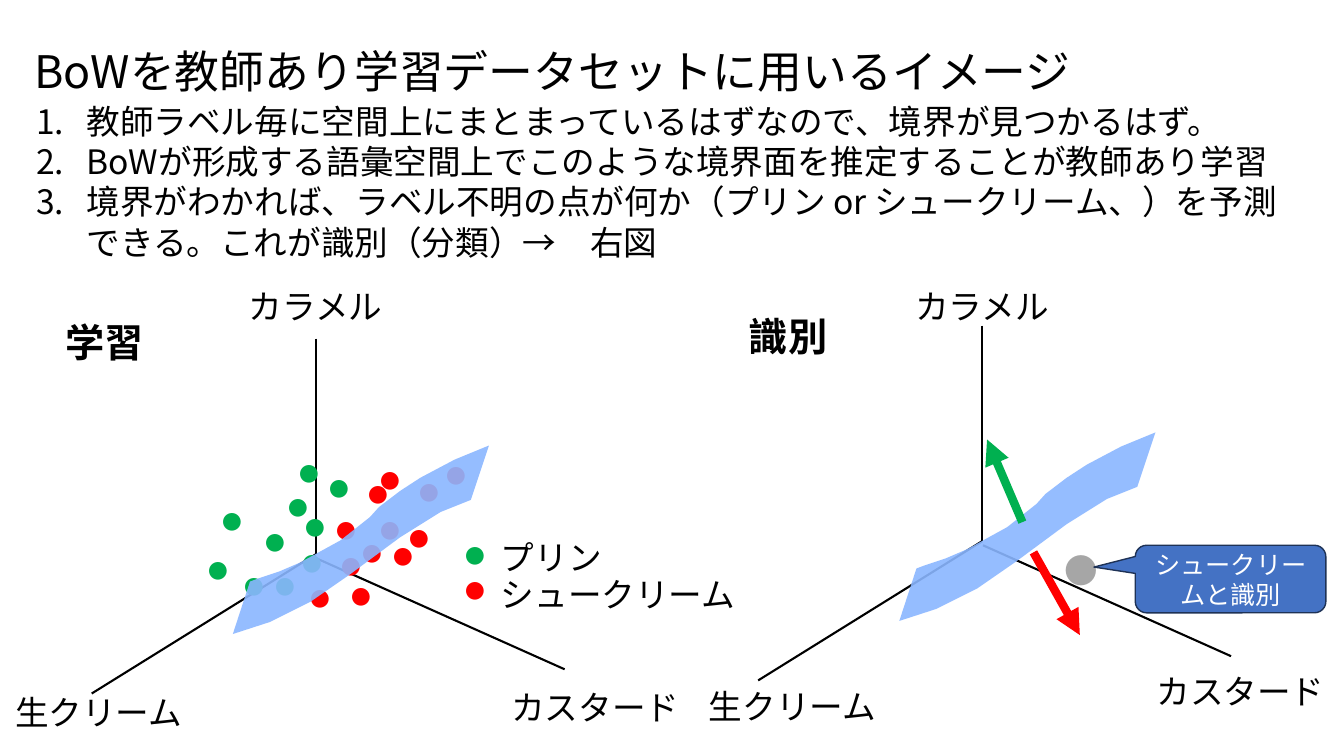
from pptx import Presentation
from pptx.util import Inches, Pt
from pptx.dml.color import RGBColor
from pptx.enum.shapes import MSO_CONNECTOR, MSO_SHAPE
from pptx.enum.text import MSO_ANCHOR, PP_ALIGN
from pptx.oxml.ns import qn
from lxml.etree import SubElement

BLACK = RGBColor(0x00, 0x00, 0x00)
WHITE = RGBColor(0xFF, 0xFF, 0xFF)
RED = RGBColor(0xFF, 0x00, 0x00)
GREEN = RGBColor(0x00, 0xB0, 0x50)
GRAY = RGBColor(0xA6, 0xA6, 0xA6)
BLUE = RGBColor(0x44, 0x72, 0xC4)
NAVY = RGBColor(0x1E, 0x32, 0x56)
LIGHT_BLUE = RGBColor(0x8A, 0xB6, 0xFF)
FONT = "Noto Sans CJK JP"

RULES = [
    "教師ラベル毎に空間上にまとまっているはずなので、境界が見つかるはず。",
    "BoWが形成する語彙空間上でこのような境界面を推定することが教師あり学習",
    "境界がわかれば、ラベル不明の点が何か（プリン or シュークリーム、）を予測できる。これが識別（分類）→\u3000右図",
]
PUDDING_DOTS = [
    (2.11, 5.02), (2.93, 5.08), (2.53, 5.22), (1.97, 5.5), (4.52, 5.35), (2.87, 4.54),
    (3.17, 4.69), (2.63, 5.66), (2.76, 4.88), (2.32, 5.66), (2.9, 5.43),
]
CREAM_PUFF_DOTS = [
    (3.67, 4.61), (4.33, 4.56), (3.49, 5.33), (3.39, 5.76), (3.8, 5.36), (4.52, 5.7),
    (4.06, 4.73), (3.29, 5.46), (3.96, 5.18), (3.55, 4.75), (2.98, 5.78), (3.24, 5.11),
    (3.67, 5.11),
]
BOUNDARY = [
    (-0.82, 0.79), (-0.65, 0.27), (-0.57, 0.24), (-0.36, 0.17), (-0.15, 0.08),
    (0.25, -0.14), (0.54, -0.37), (0.63, -0.47), (0.84, -0.63), (1.04, -0.76),
    (1.38, -0.94), (1.72, -1.08), (1.54, -0.54), (1.24, -0.42), (0.84, -0.17),
    (0.34, 0.2), (-0.05, 0.47), (-0.45, 0.67),
]


def set_font(font, size, color, bold=False, name=FONT):
    """Apply one format to Latin and East Asian characters."""
    font.size, font.bold, font.name = Pt(size), bold, name
    font.color.rgb = color
    SubElement(font._element, qn("a:ea")).set("typeface", FONT)


def add_text(slide, text, left, top, width, height, size=24, color=BLACK, bold=False,
             wrap=False, inset=True, rotation=0, numbered=False):
    """Add a text box with one paragraph per line of text."""
    box = slide.shapes.add_textbox(Inches(left), Inches(top), Inches(width), Inches(height))
    box.rotation = rotation
    frame = box.text_frame
    frame.word_wrap = wrap
    if not inset:
        frame.margin_left = frame.margin_right = frame.margin_top = frame.margin_bottom = 0
    frame.text = text
    for paragraph in frame.paragraphs:
        set_font(paragraph.runs[0].font, size, color, bold)
        if numbered:
            properties = paragraph._p.get_or_add_pPr()
            properties.set("marL", str(Inches(0.5)))
            properties.set("indent", str(-Inches(0.5)))
            SubElement(properties, qn("a:buFont")).set("typeface", "+mj-lt")
            SubElement(properties, qn("a:buAutoNum")).set("type", "arabicPeriod")
    return box


def add_line(slide, start, end, color=BLACK, width=1.5, arrow=False):
    """Add a straight line, with an arrowhead at its end if asked."""
    points = [Inches(value) for value in (*start, *end)]
    line = slide.shapes.add_connector(MSO_CONNECTOR.STRAIGHT, *points)
    line.line.color.rgb = color
    line.line.width = Pt(width)
    if arrow:
        SubElement(line.line._get_or_add_ln(), qn("a:tailEnd")).set("type", "triangle")
    SubElement(line._element.spPr, qn("a:effectLst"))


def add_axes(slide, left, top):
    """Draw three axes from the given origin."""
    add_line(slide, (left, top - 2.14), (left, top))
    add_line(slide, (left, top), (left - 2.22, top + 1.38))
    add_line(slide, (left + 0.01, top + 0.04), (left + 2.47, top + 1.14))


def add_boundary(slide, left, top):
    """Draw the translucent boundary surface around the given origin."""
    points = [(Inches(left + x), Inches(top + y)) for x, y in BOUNDARY]
    builder = slide.shapes.build_freeform(*points[0])
    builder.add_line_segments(points[1:])
    surface = builder.convert_to_shape()
    surface.shadow.inherit = False
    surface.fill.solid()
    surface.fill.fore_color.rgb = LIGHT_BLUE
    color = surface._element.spPr.find(qn("a:solidFill"))[0]
    SubElement(color, qn("a:alpha")).set("val", "90000")
    surface.line.fill.background()


def add_axis_names(slide, caramel, cream, custard):
    """Name the three axes at the given corners."""
    add_text(slide, "カラメル", *caramel, 1.55, 0.5)
    add_text(slide, "生クリーム", *cream, 1.68, 0.4, inset=False)
    add_text(slide, "カスタード", *custard, 1.68, 0.4, inset=False)


def add_heading(slide, left, top):
    """Write the title and the numbered rules."""
    add_text(slide, "BoWを教師あり学習データセットに用いるイメージ", left, top, 10.64, 0.64, size=32)
    add_text(slide, "\n".join(RULES), left + 0.02, top + 0.57, 12.81, 1.72,
             wrap=True, numbered=True)


def add_training(slide, left, top):
    """Draw the training space with its labelled dots and legend."""
    add_axes(slide, left, top)
    for dots, color in ((PUDDING_DOTS, GREEN), (CREAM_PUFF_DOTS, RED)):
        for x, y in dots:
            add_text(slide, "●", left + x - 3.13, top + y - 5.5, 0.4, 0.34, size=14,
                     color=color, wrap=True, rotation=65.4)
    add_boundary(slide, left, top)
    add_text(slide, "プリン", left + 1.74, top - 0.22, 1.21, 0.5)
    add_text(slide, "シュークリーム", left + 1.74, top + 0.14, 2.56, 0.5)
    add_axis_names(slide, (left - 0.76, top - 2.71), (left - 2.98, top + 1.36),
                   (left + 1.94, top + 1.31))
    add_text(slide, "学習", left - 2.58, top - 2.39, 0.99, 0.57, size=28, bold=True)


def add_callout(slide, left, top):
    """Add the callout that names the unknown dot."""
    callout = slide.shapes.add_shape(MSO_SHAPE.ROUNDED_RECTANGULAR_CALLOUT, Inches(left),
                                     Inches(top), Inches(1.89), Inches(0.67))
    for index, value in enumerate((-0.717, -0.177, 0.167)):
        callout.adjustments[index] = value
    callout.shadow.inherit = False
    callout.fill.solid()
    callout.fill.fore_color.rgb = BLUE
    callout.line.color.rgb = NAVY
    callout.line.width = Pt(1)
    frame = callout.text_frame
    frame.word_wrap = True
    frame.vertical_anchor = MSO_ANCHOR.MIDDLE
    frame.text = "シュークリームと識別"
    frame.paragraphs[0].alignment = PP_ALIGN.CENTER
    set_font(frame.paragraphs[0].runs[0].font, 18, WHITE, name="Calibri")


def add_classification(slide, left, top):
    """Draw the space in which an unknown dot is classified."""
    add_axes(slide, left, top)
    add_boundary(slide, left, top)
    add_text(slide, "●", left + 0.72, top + 0.04, 0.54, 0.5, color=GRAY)
    add_line(slide, (left + 0.51, top + 0.11), (left + 0.97, top + 0.93), RED, 6, arrow=True)
    add_line(slide, (left + 0.4, top - 0.19), (left + 0.05, top - 1.01), GREEN, 6, arrow=True)
    add_axis_names(slide, (left - 0.76, top - 2.58), (left - 2.71, top + 1.43),
                   (left + 1.73, top + 1.29))
    add_callout(slide, left + 1.52, top + 0.04)
    add_text(slide, "識別", left - 2.41, top - 2.32, 0.99, 0.57, size=28, bold=True)


def main():
    """Build and save the slide."""
    presentation = Presentation()
    presentation.slide_width, presentation.slide_height = Inches(13.33), Inches(7.5)
    slide = presentation.slides.add_slide(presentation.slide_layouts[6])
    add_training(slide, 3.13, 5.5)
    add_heading(slide, 0.24, 0.38)
    add_classification(slide, 9.74, 5.37)
    presentation.save("out.pptx")


if __name__ == "__main__":
    main()
